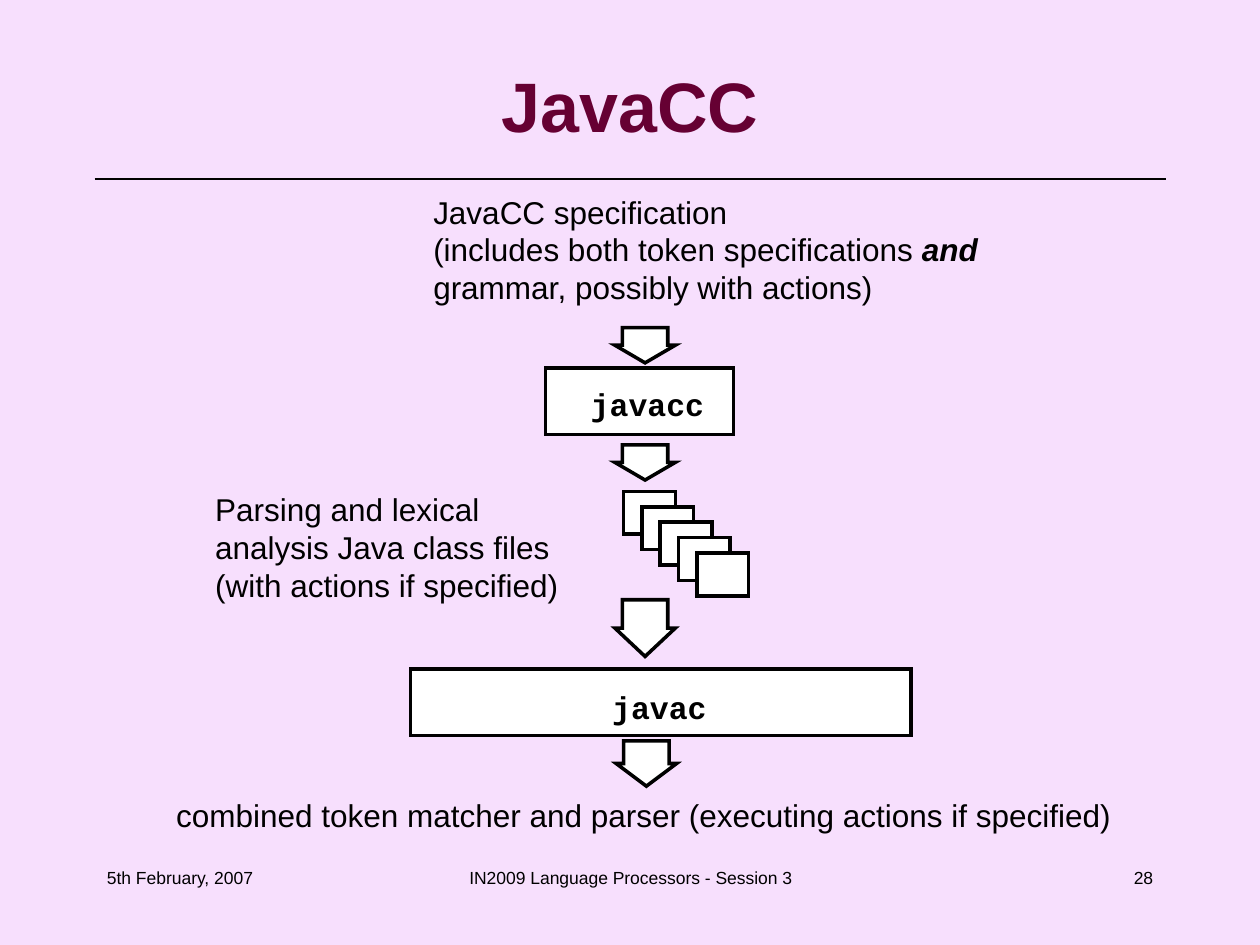
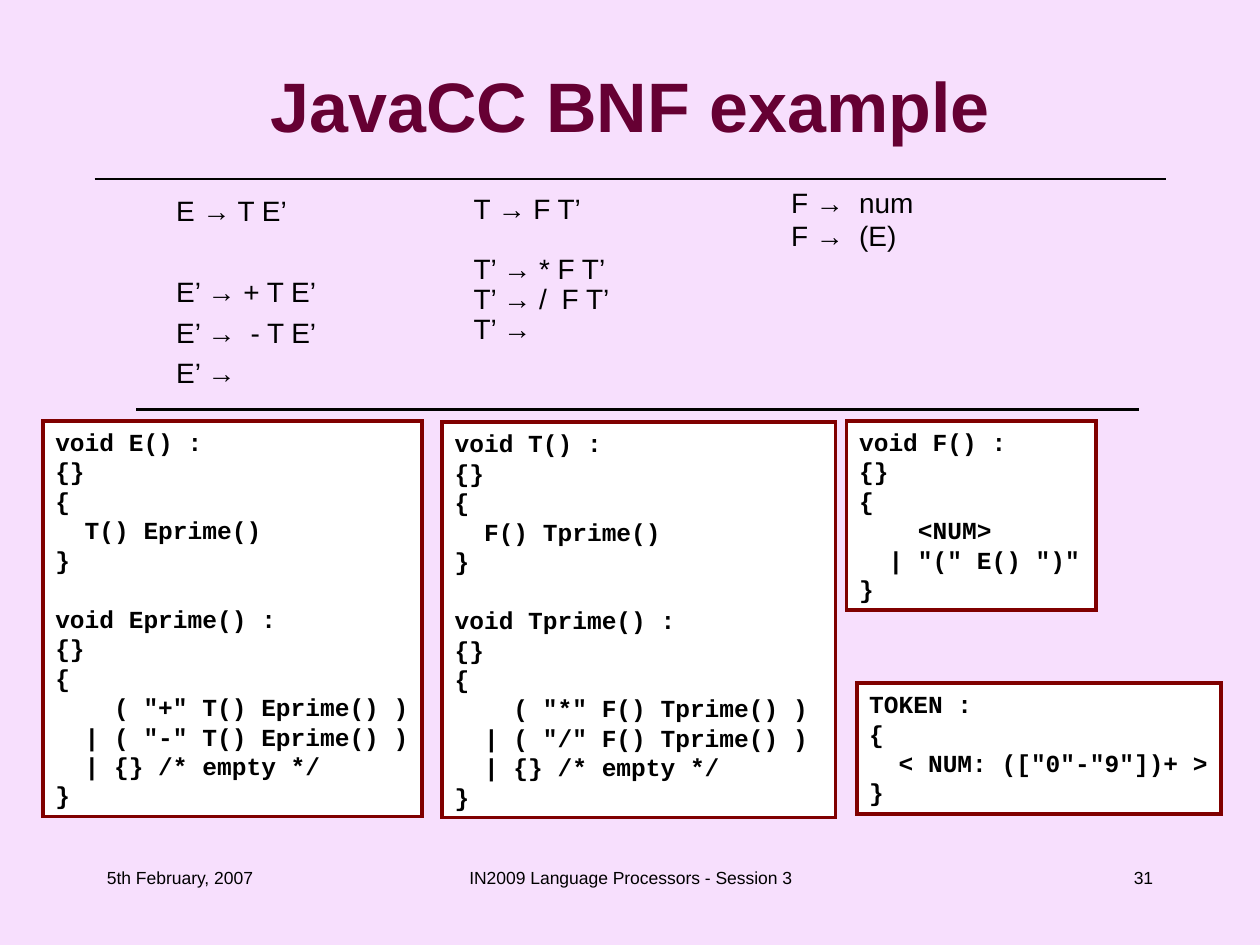
from pptx import Presentation
from pptx.dml.color import RGBColor
from pptx.enum import shapes as shp, text as txt
from pptx.oxml.ns import qn
from pptx.util import Inches, Pt
from lxml import etree

# Shared look
BACKGROUND, TITLE, FRAME = "F7DFFD", "660033", "800000"
BLACK, WHITE = "000000", "FFFFFF"
SANS, MONO = "Arial", "Courier New"
LEFT, CENTER, RIGHT = txt.PP_ALIGN.LEFT, txt.PP_ALIGN.CENTER, txt.PP_ALIGN.RIGHT

E_CODE = """void E() :
{}
{
  T() Eprime()
}

void Eprime() :
{}
{
    ( "+" T() Eprime() )
  | ( "-" T() Eprime() )
  | {} /* empty */
}"""

T_CODE = """void T() :
{}
{
  F() Tprime()
}

void Tprime() :
{}
{
    ( "*" F() Tprime() )
  | ( "/" F() Tprime() )
  | {} /* empty */
}"""

F_CODE = """void F() :
{}
{
    <NUM>
  | "(" E() ")"
}"""

TOKEN_CODE = """TOKEN :
{
  < NUM: (["0"-"9"])+ >
}"""


def color(value):
    return RGBColor.from_string(value)


def place(left, top, width, height):
    return [Inches(n) for n in (left, top, width, height)]


def write(box, content, size, font=SANS, ink=BLACK, bold=False, align=LEFT,
          gap=0, step=0, spacing=None, tab=None, fit=False):
    """Write one paragraph a line; an empty line becomes space before the next."""
    frame = box.text_frame
    frame.word_wrap = not fit
    if fit:
        frame.auto_size = txt.MSO_AUTO_SIZE.SHAPE_TO_FIT_TEXT
    lines = content.split("\n")
    frame.text = "\n".join(line for line in lines if line)
    starts_group = [not before for before, line in zip([" "] + lines, lines) if line]
    for number, para in enumerate(frame.paragraphs):
        if tab:
            tabs = etree.SubElement(para._p.get_or_add_pPr(), qn("a:tabLst"))
            etree.SubElement(tabs, qn("a:tab"), pos=str(Inches(tab)), algn="l")
        para.alignment = align
        if number:
            para.space_before = Pt(gap if starts_group[number] else step)
        if spacing:
            para.line_spacing = spacing
        for span in para.runs:
            span.font.name, span.font.size, span.font.bold = font, Pt(size), bold
            span.font.color.rgb = color(ink)
    return frame


def add_text(page, area, content, size=18, **style):
    return write(page.shapes.add_textbox(*place(*area)), content, size, **style)


def add_box(page, area, kind=shp.MSO_SHAPE.RECTANGLE, edge=BLACK):
    """Add a white shape with a sharp-cornered outline."""
    box = page.shapes.add_shape(kind, *place(*area))
    box.shadow.inherit = False
    box.fill.solid()
    box.fill.fore_color.rgb = color(WHITE)
    box.line.color.rgb = color(edge)
    box.line.width = Pt(2)
    outline = box._element.spPr.find(qn("a:ln"))
    etree.SubElement(outline, qn("a:miter"), lim="800000")
    return box


def add_arrow(page, left, top, height):
    arrow = add_box(page, (left, top, 0.48, height), shp.MSO_SHAPE.DOWN_ARROW)
    arrow.adjustments[0], arrow.adjustments[1] = 0.75, 0.5


def add_code(page, area, code):
    box = add_box(page, area, edge=FRAME)
    write(box, code, 14, font=MONO, bold=True, gap=17, fit=True)
    box.text_frame.vertical_anchor = txt.MSO_ANCHOR.TOP


def add_rule(page, left, right, top, weight):
    rule = page.shapes.add_connector(
        shp.MSO_CONNECTOR.STRAIGHT, *place(left, top, right, top))
    rule.line.color.rgb = color(BLACK)
    rule.line.width = Pt(weight)
    etree.SubElement(rule._element.spPr, qn("a:effectLst"))


def add_page(deck, title, number):
    page = deck.slides.add_slide(deck.slide_layouts[6])
    add_rule(page, 0.75, 9.25, 1.42, 0.75)
    heading = add_text(page, (0.5, 0.33, 9, 1), title, 40,
                       ink=TITLE, bold=True, align=CENTER)
    heading.vertical_anchor = txt.MSO_ANCHOR.MIDDLE
    footers = [(0.75, 2.08, "5th February, 2007", LEFT),
               (3.42, 3.17, "IN2009 Language Processors - Session 3", CENTER),
               (7.17, 2.08, str(number), RIGHT)]
    for left, width, content, align in footers:
        add_text(page, (left, 6.83, width, 0.5), content, 10, align=align)
    return page


def build_pipeline(deck):
    page = add_page(deck, "JavaCC", 28)

    # Tools
    tools = [("javacc", (4.33, 2.92, 1.49, 0.53), (4.59, 3.01, 1.1, 0.4)),
             ("javac", (3.26, 5.31, 3.97, 0.53), (4.76, 5.41, 0.95, 0.4))]
    for name, area, label_area in tools:
        add_box(page, area)
        add_text(page, label_area, name, font=MONO, bold=True, fit=True)

    # Stack of class files
    for number in range(5):
        add_box(page, (4.95 + 0.58 * number / 4, 3.9 + 0.49 * number / 4, 0.41, 0.34))

    # Flow
    for left, top, height in [(4.88, 2.6, 0.28), (4.88, 3.53, 0.28),
                              (4.88, 4.76, 0.45), (4.89, 5.88, 0.36)]:
        add_arrow(page, left, top, height)

    # Inputs and results
    source = add_text(page, (3.34, 1.48, 4.52, 1),
                      "JavaCC specification\n"
                      "(includes both token specifications \n"
                      "grammar, possibly with actions)", fit=True)
    stress = source.paragraphs[1].add_run()
    stress.text = "and"
    stress.font.name, stress.font.size = SANS, Pt(18)
    stress.font.bold = stress.font.italic = True
    stress.font.color.rgb = color(BLACK)
    add_text(page, (1.61, 3.84, 2.93, 1),
             "Parsing and lexical\nanalysis Java class files\n"
             "(with actions if specified)", fit=True)
    add_text(page, (1.3, 6.27, 7.62, 0.4),
             "combined token matcher and parser (executing actions if specified)",
             fit=True)


def build_example(deck):
    page = add_page(deck, "JavaCC BNF example", 31)

    # Grammar rules
    add_text(page, (1.3, 1.49, 2.55, 4.93),
             "E → T E’\n\nE’ → + T E’\nE’ →\t- T E’\nE’ →", 16,
             gap=27, step=4, tab=0.59)
    add_text(page, (6.18, 1.42, 2.92, 4.52), "F →\tnum\nF →\t(E)", 16, tab=0.54)
    add_text(page, (3.66, 1.5, 2.92, 4.52),
             "T → F T’\n\nT’ → * F T’\nT’ → /\tF T’\nT’ →", 16,
             gap=17, spacing=0.9, tab=0.7)

    # Matching JavaCC code
    add_rule(page, 1.08, 9.04, 3.25, 2)
    add_code(page, (0.34, 3.34, 3.01, 3.14), E_CODE)
    add_code(page, (3.51, 3.35, 3.12, 3.14), T_CODE)
    add_code(page, (6.72, 3.34, 1.98, 1.5), F_CODE)
    add_code(page, (6.8, 5.42, 2.89, 1.04), TOKEN_CODE)


def main():
    deck = Presentation()
    deck.slide_width, deck.slide_height = Inches(10), Inches(7.5)
    backdrop = deck.slide_master.background.fill
    backdrop.solid()
    backdrop.fore_color.rgb = color(BACKGROUND)
    build_pipeline(deck)
    build_example(deck)
    deck.save("out.pptx")


if __name__ == "__main__":
    main()
